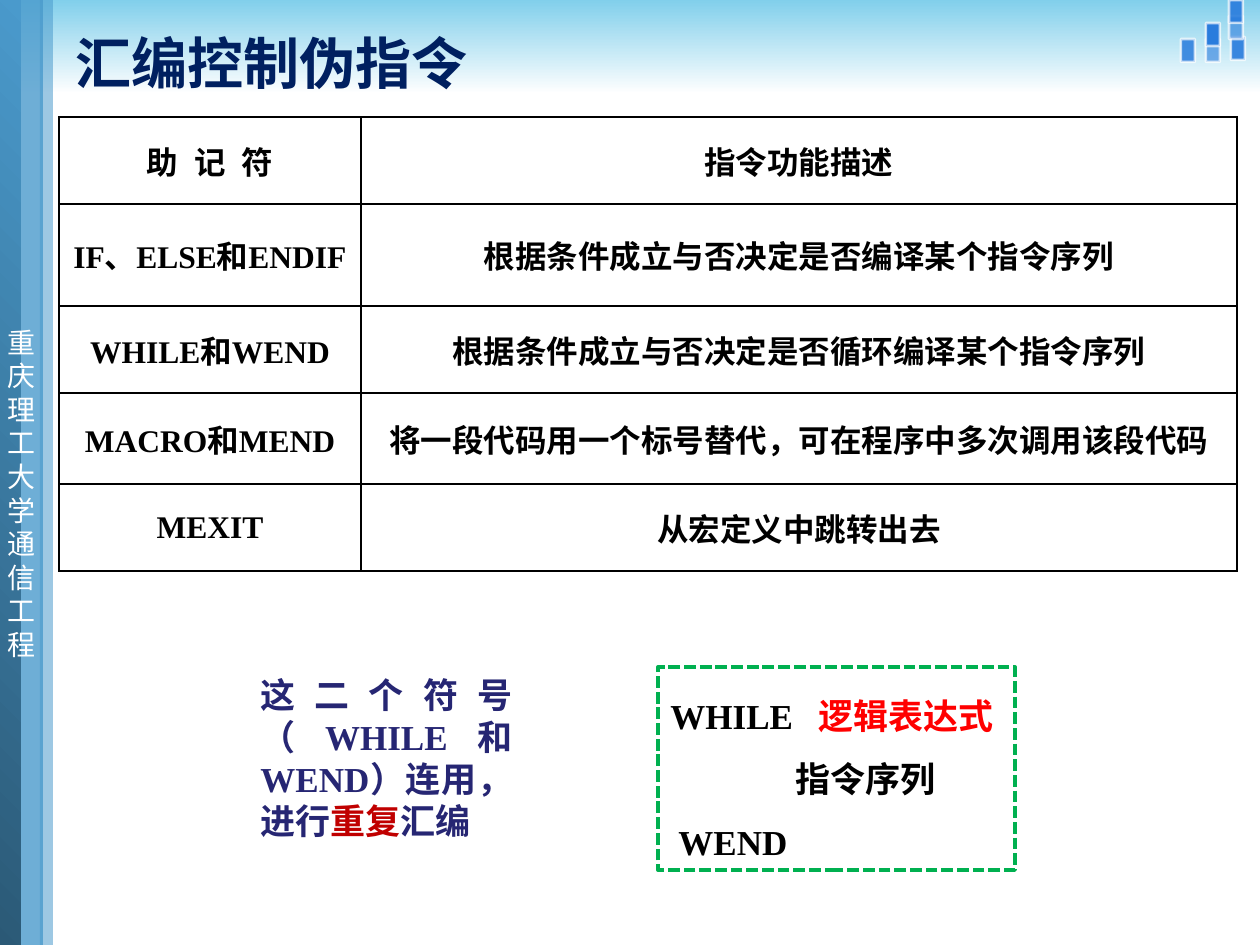
from pptx import Presentation
from pptx.dml.color import RGBColor
from pptx.enum.dml import MSO_LINE
from pptx.enum.shapes import MSO_SHAPE
from pptx.enum.text import MSO_ANCHOR, PP_ALIGN
from pptx.oxml import parse_xml
from pptx.oxml.ns import nsdecls, qn
from pptx.util import Pt

PX = 914400 / 126
RECT = MSO_SHAPE.RECTANGLE
MIDDLE, TOP = MSO_ANCHOR.MIDDLE, MSO_ANCHOR.TOP
LEFT, CENTER, JUSTIFY = PP_ALIGN.LEFT, PP_ALIGN.CENTER, PP_ALIGN.JUSTIFY
SYS_DASH = MSO_LINE.SQUARE_DOT
SERIF = "Times New Roman"


def rgb(color):
    return RGBColor.from_string(color)


def style(paragraph, size, face, color, bold=True, align=LEFT):
    paragraph.alignment = align
    font = paragraph.font
    font.size, font.name, font.bold = Pt(size), face, bold
    font.color.rgb = rgb(color)


prs = Presentation()
prs.slide_width, prs.slide_height = int(1260 * PX), int(945 * PX)
slide = prs.slides.add_slide(prs.slide_layouts[6])
shapes = slide.shapes

# Background bands and corner squares: box, colours, opacity, gradient angle
band, square = "4A9ACC", "297CDD"
decorations = [((0, 0, 1260, 94), ("81CFEB", "FFFFFF"), 100, 270)]
for x, y, opacity in [(1231, 37, 90), (1206, 39, 60), (1181, 39, 85),
                      (1206, 23, 100), (1229, 16, 60), (1229, 0, 90)]:
    decorations.append(((x, y, 14, 23), (square,), opacity, None))
decorations += [
    ((14, 0, 29, 945), (band,), 80, None),
    ((-1, 0, 22, 949), ("2B5976", band), 100, 45),
    ((40, 0, 13, 946), (band,), 54, None),
]
for box, colors, opacity, angle in decorations:
    panel = shapes.add_shape(RECT, *(int(v * PX) for v in box))
    panel.shadow.inherit = False
    if angle is None:
        panel.fill.solid()
        panel.fill.fore_color.rgb = rgb(colors[0])
    else:
        panel.fill.gradient()
        panel.fill.gradient_angle = angle
        for stop, color in zip(panel.fill.gradient_stops, colors):
            stop.color.rgb = rgb(color)
    if colors[0] == square:
        panel.line.width = Pt(1.5)
        panel.line.color.rgb = rgb("FFFFFF")
    else:
        panel.line.fill.background()
    if angle is None:
        # Fill opacity comes first, then line opacity
        for clr, alpha in zip(panel.element.spPr.iter(qn("a:srgbClr")), (opacity, 70)):
            clr.append(parse_xml(f'<a:alpha {nsdecls("a")} val="{alpha * 1000}"/>'))

# School name, title and explanation
notes = [
    ((-5, 319, 68, 352), [("重庆理工大学通信工程", None)], 16, "Arial", "FFFFFF", False, LEFT, TOP),
    ((63, 21, 1071, 83), [("汇编控制伪指令", None)], 32, "Comic Neue", "002060", True, LEFT, MIDDLE),
    ((248, 667, 277, 224),
     [("这二个符号（WHILE和WEND）连用，进行", None), ("重复", "C00000"), ("汇编", None)],
     20, SERIF, "262673", True, JUSTIFY, TOP),
]
for box, runs, size, face, color, bold, align, anchor in notes:
    frame = shapes.add_textbox(*(int(v * PX) for v in box)).text_frame
    frame.word_wrap, frame.vertical_anchor = True, anchor
    paragraph = frame.paragraphs[0]
    style(paragraph, size, face, color, bold, align)
    for text, accent in runs:
        run = paragraph.add_run()
        run.text = text
        if accent:
            run.font.color.rgb = rgb(accent)

# Directive table
directives = [
    ("助 记 符", "指令功能描述"),
    ("IF、ELSE和ENDIF", "根据条件成立与否决定是否编译某个指令序列"),
    ("WHILE和WEND", "根据条件成立与否决定是否循环编译某个指令序列"),
    ("MACRO和MEND", "将一段代码用一个标号替代，可在程序中多次调用该段代码"),
    ("MEXIT", "从宏定义中跳转出去"),
]
table = shapes.add_table(5, 2, *(int(v * PX) for v in (59, 117, 1178, 454))).table
table.first_row = table.horz_banding = False
for column, width in zip(table.columns, (302, 876)):
    column.width = int(width * PX)
for row, height in zip(table.rows, (87, 102, 87, 91, 87)):
    row.height = int(height * PX)
for r, texts in enumerate(directives):
    for c, text in enumerate(texts):
        cell = table.cell(r, c)
        cell.text = text
        cell.vertical_anchor = MIDDLE
        style(cell.text_frame.paragraphs[0], 18, SERIF if r and c == 0 else "Arial",
              "000000", align=CENTER)
        properties = cell._tc.get_or_add_tcPr()
        for side in ("lnL", "lnR", "lnT", "lnB"):
            properties.append(parse_xml(
                f'<a:{side} {nsdecls("a")} w="12700"><a:solidFill>'
                f'<a:srgbClr val="000000"/></a:solidFill></a:{side}>'))
        cell.fill.background()
# Letter spacing widens the first heading
heading = table.cell(0, 0).text_frame.paragraphs[0].runs[0]
heading.font._element.set("spc", "250")

# Loop syntax box: runs, tab stop and left indent of each line
syntax = shapes.add_shape(RECT, *(int(v * PX) for v in (658, 667, 357, 203)))
syntax.shadow.inherit = False
syntax.fill.background()
syntax.line.color.rgb = rgb("00B050")
syntax.line.width, syntax.line.dash_style = Pt(2.25), SYS_DASH
frame = syntax.text_frame
frame.word_wrap, frame.vertical_anchor = True, TOP
lines = [
    ([("WHILE\t", "000000"), ("逻辑表达式", "FF0000")], 148, 0),
    ([("\t指令序列", "000000")], 125, 0),
    ([("WEND", "000000")], None, 8),
]
for i, (runs, tab, indent) in enumerate(lines):
    paragraph = frame.paragraphs[0] if i == 0 else frame.add_paragraph()
    paragraph.line_spacing = 1.5
    layout = paragraph._p.get_or_add_pPr()
    layout.set("marL", str(int(indent * PX)))
    if tab:
        layout.append(parse_xml(
            f'<a:tabLst {nsdecls("a")}><a:tab pos="{int(tab * PX)}" algn="l"/></a:tabLst>'))
    style(paragraph, 20, SERIF, "000000")
    for text, color in runs:
        run = paragraph.add_run()
        run.text = text
        run.font.color.rgb = rgb(color)

prs.save("out.pptx")
